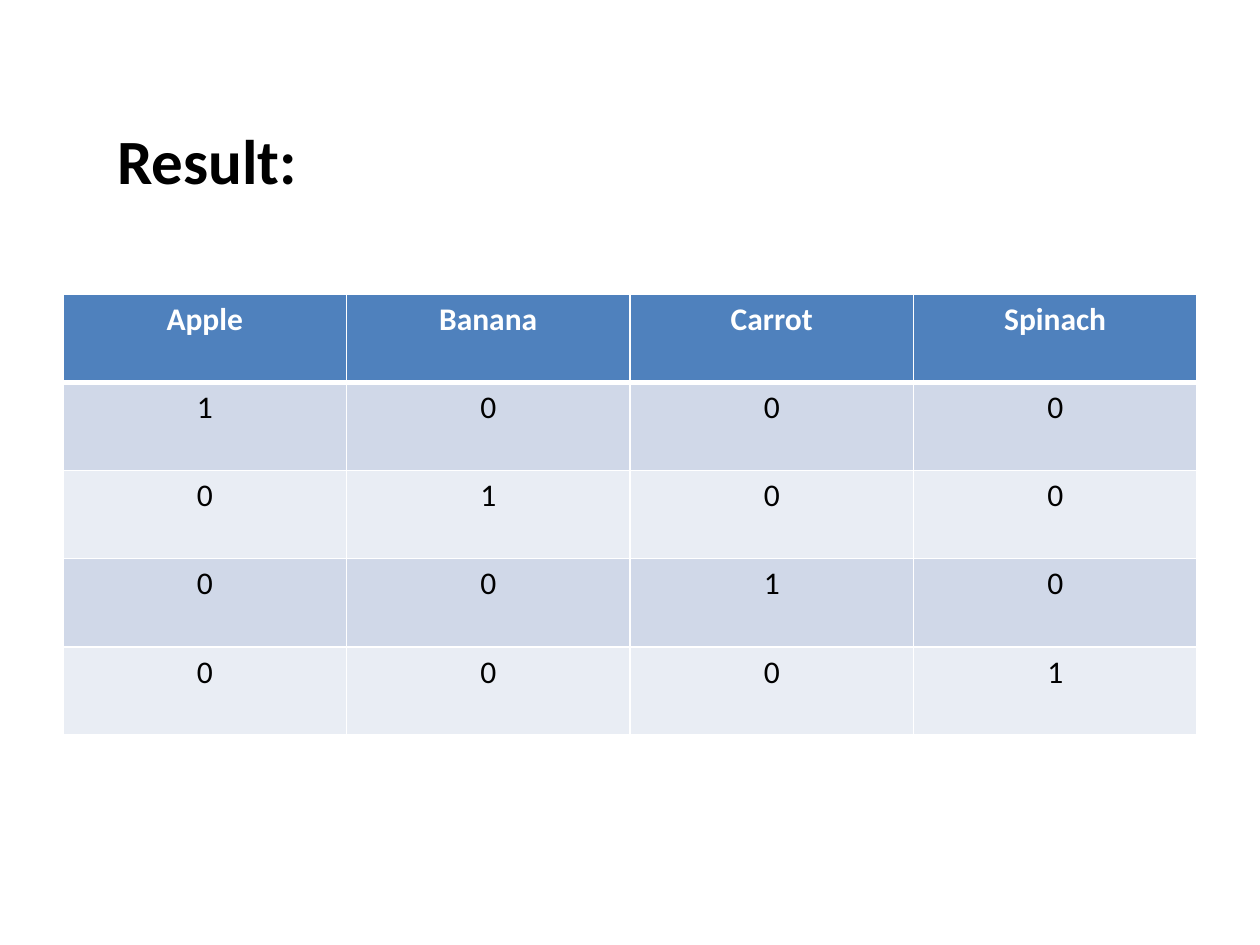
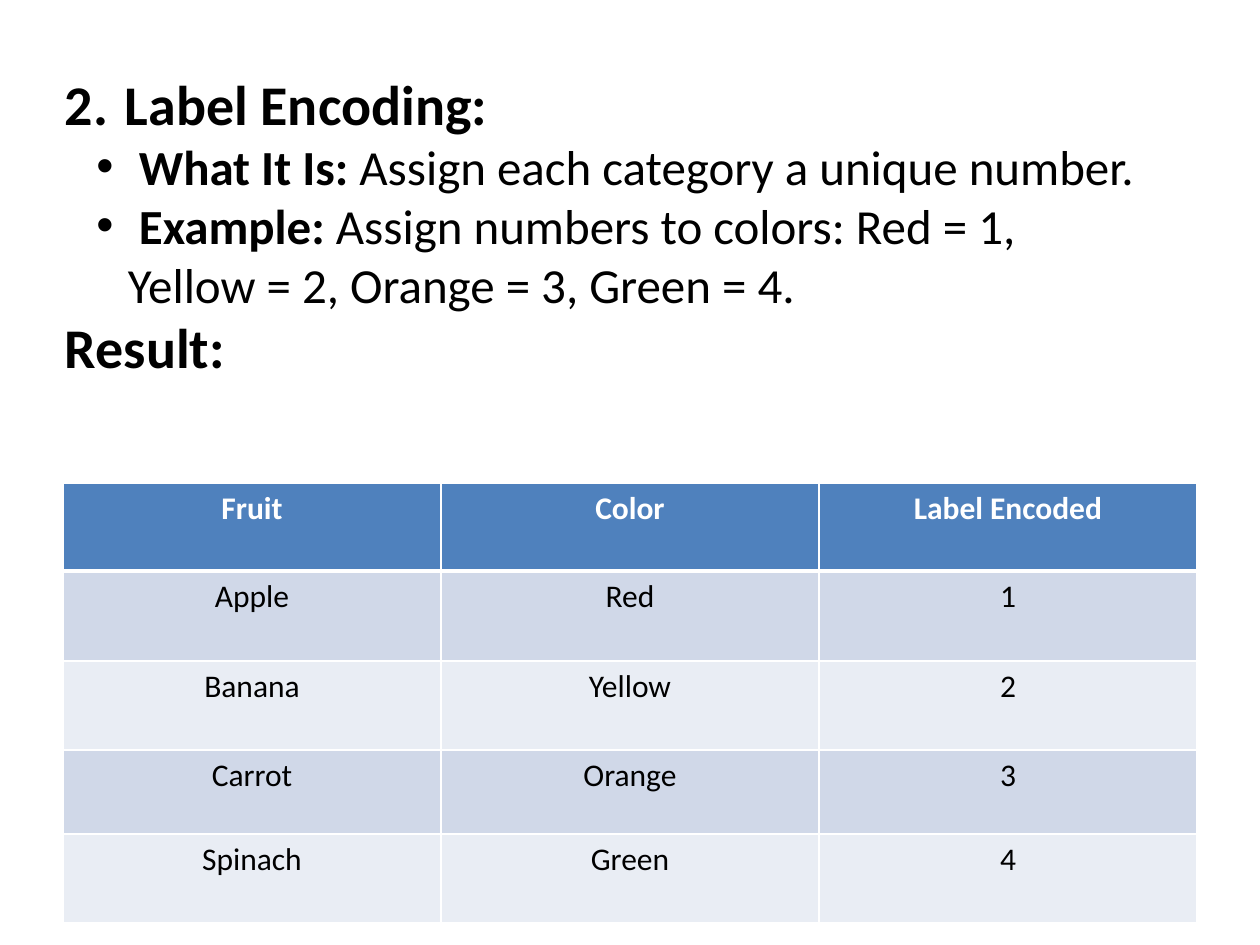
"""Build two slides on one-hot and label encoding."""
from lxml import etree
from pptx import Presentation
from pptx import util as u
from pptx.dml.color import RGBColor
from pptx.enum import text
from pptx.oxml import ns

COLORS = {"header": "4F81BD", "odd": "D0D8E8", "even": "E9EDF4",
          "line": "FFFFFF", "ink": "000000", "reverse": "FFFFFF"}
FONT = "Calibri"
TABLE_LEFT, TABLE_WIDTH = 36, 648


def rgb(key):
    """Return the named colour."""
    return RGBColor.from_string(COLORS[key])


def add_run(p, words, size, bold=False, color="ink"):
    """Add a formatted run to a paragraph."""
    r = p.add_run()
    r.text = words
    for name, value in {"name": FONT, "size": u.Pt(size), "bold": bold}.items():
        setattr(r.font, name, value)
    r.font.color.rgb = rgb(color)


def add_marker(p, margin, hang, tag, **attrs):
    """Give a paragraph a hanging bullet or number."""
    pPr = p._p.get_or_add_pPr()
    pPr.set("marL", str(u.Pt(margin)))
    pPr.set("indent", str(u.Pt(-hang)))
    if tag == "a:buChar":
        etree.SubElement(pPr, ns.qn("a:buFont"), typeface="Arial")
    etree.SubElement(pPr, ns.qn(tag), **attrs)


def add_box(s, left, top, width, height):
    """Add a wrapping text box and return its text frame."""
    tf = s.shapes.add_textbox(*map(u.Pt, (left, top, width, height))).text_frame
    for name, value in {"word_wrap": True,
                        "auto_size": text.MSO_AUTO_SIZE.SHAPE_TO_FIT_TEXT}.items():
        setattr(tf, name, value)
    return tf


def set_borders(cell, **widths):
    """Draw the four borders of a cell, 1 pt unless a width is given."""
    tcPr = cell._tc.get_or_add_tcPr()
    for i, side in enumerate("LRTB"):
        ln = etree.Element(ns.qn(f"a:ln{side}"), w=str(u.Pt(widths.get(side, 1))))
        fill = etree.SubElement(ln, ns.qn("a:solidFill"))
        etree.SubElement(fill, ns.qn("a:srgbClr"), val=COLORS["line"])
        tcPr.insert(i, ln)


def add_banded_table(s, top, heights, rows):
    """Add a full-width table with a header row and banded body."""
    box = map(u.Pt, (TABLE_LEFT, top, TABLE_WIDTH, sum(heights)))
    table = s.shapes.add_table(len(rows), len(rows[0]), *box).table
    for col in table.columns:
        col.width = u.Pt(TABLE_WIDTH / len(rows[0]))
    for i, (height, row) in enumerate(zip(heights, rows)):
        table.rows[i].height = u.Pt(height)
        band = "header" if i == 0 else "odd" if i % 2 else "even"
        for j, words in enumerate(row):
            cell = table.cell(i, j)
            cell.fill.solid()
            cell.fill.fore_color.rgb = rgb(band)
            set_borders(cell, **({"B": 3} if i == 0 else {"T": 3} if i == 1 else {}))
            p = cell.text_frame.paragraphs[0]
            p.alignment = text.PP_ALIGN.CENTER
            add_run(p, words, 18, i == 0, "ink" if i else "reverse")


def build_one_hot(s):
    """Show the one-hot result as an identity matrix."""
    foods = ["Apple", "Banana", "Carrot", "Spinach"]
    matrix = [[str(int(a == b)) for b in foods] for a in foods]
    add_banded_table(s, 168, [50.4] * 5, [foods] + matrix)
    add_run(add_box(s, 60, 66, 180, 51).paragraphs[0], "Result:", 36, True)


def build_label_encoding(s):
    """Explain label encoding and show its result."""
    add_banded_table(s, 276, [50.3, 51.4, 50.9, 48, 50.9], [
        ["Fruit", "Color", "Label Encoded"],
        ["Apple", "Red", "1"],
        ["Banana", "Yellow", "2"],
        ["Carrot", "Orange", "3"],
        ["Spinach", "Green", "4"]])
    tf = add_box(s, 30, 36, 630, 220)
    p = tf.paragraphs[0]
    add_marker(p, 27, 27, "a:buAutoNum", type="arabicPeriod", startAt="2")
    add_run(p, " Label Encoding:", 32, True)
    for lead, words in [
            (" What It Is:", " Assign each category a unique number."),
            (" Example:", " Assign numbers to colors: Red = 1, "
                          "Yellow = 2, Orange = 3, Green = 4.")]:
        p = tf.add_paragraph()
        p.level = 1
        add_marker(p, 36, 18, "a:buChar", char="•")
        add_run(p, lead, 28, True)
        add_run(p, words, 28)
    add_run(tf.add_paragraph(), "Result:", 32, True)


def main():
    """Build and save the presentation."""
    prs = Presentation()
    prs.slide_width, prs.slide_height = u.Pt(720), u.Pt(540)
    for build in (build_one_hot, build_label_encoding):
        build(prs.slides.add_slide(prs.slide_layouts[6]))
    prs.save("out.pptx")


if __name__ == "__main__":
    main()
